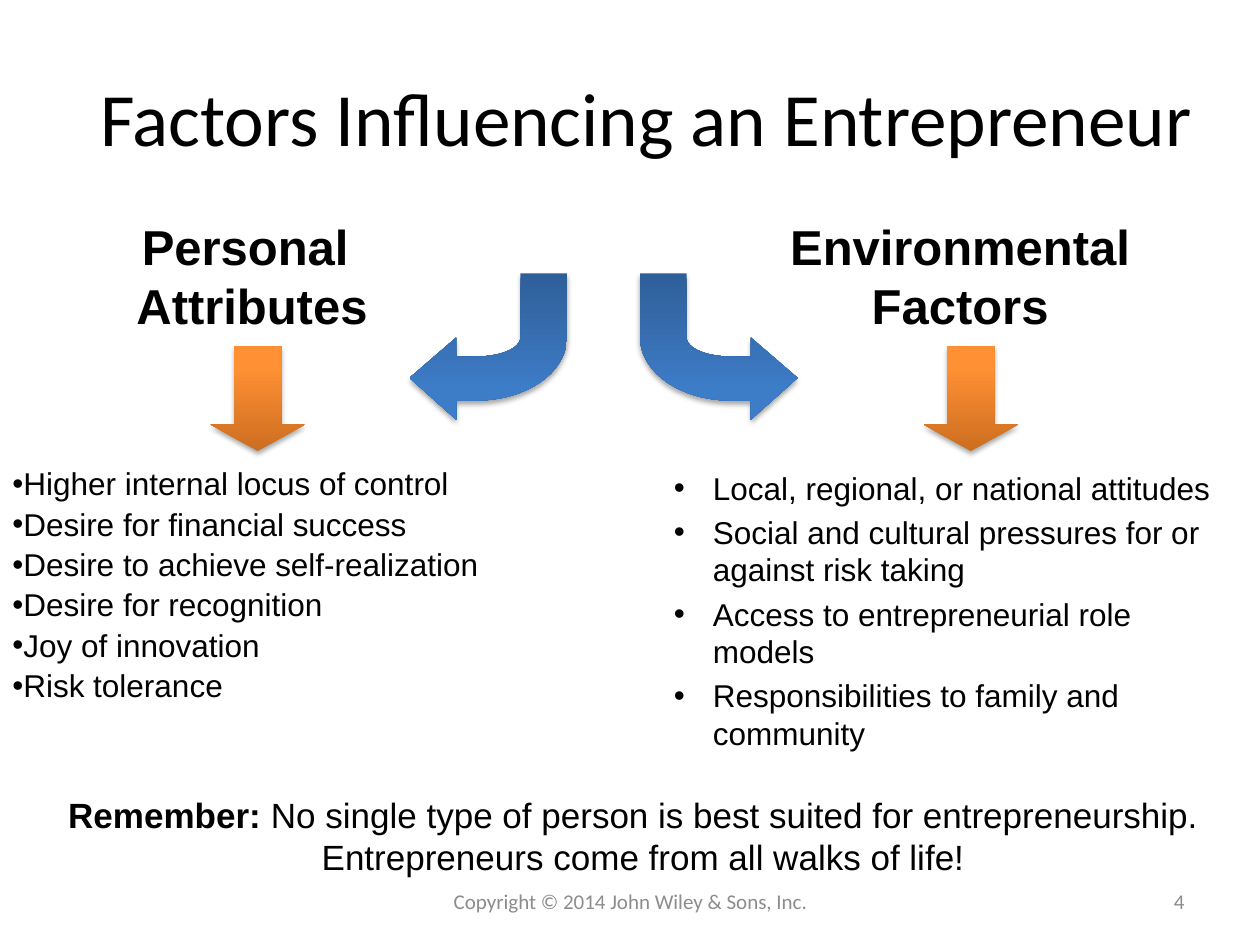
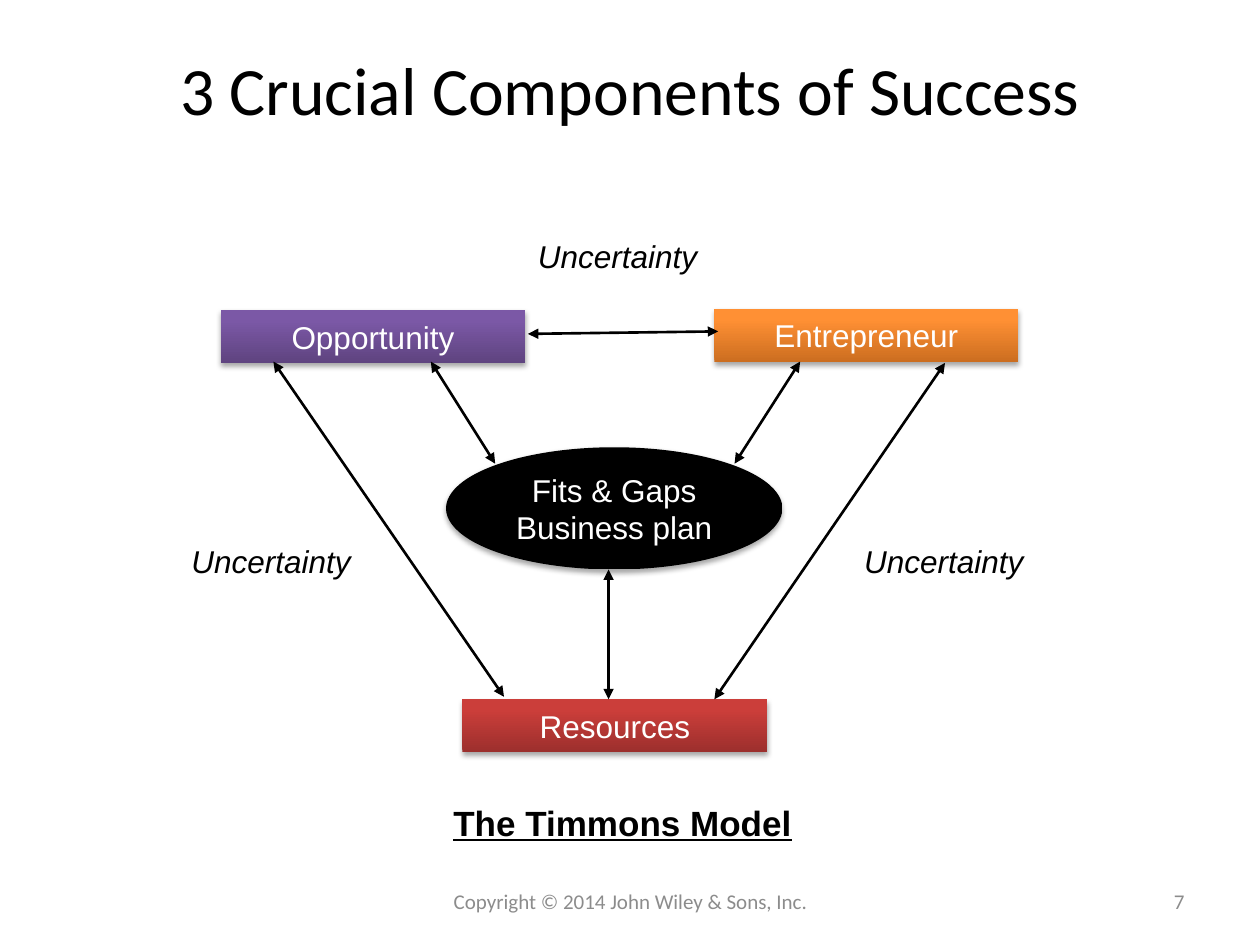
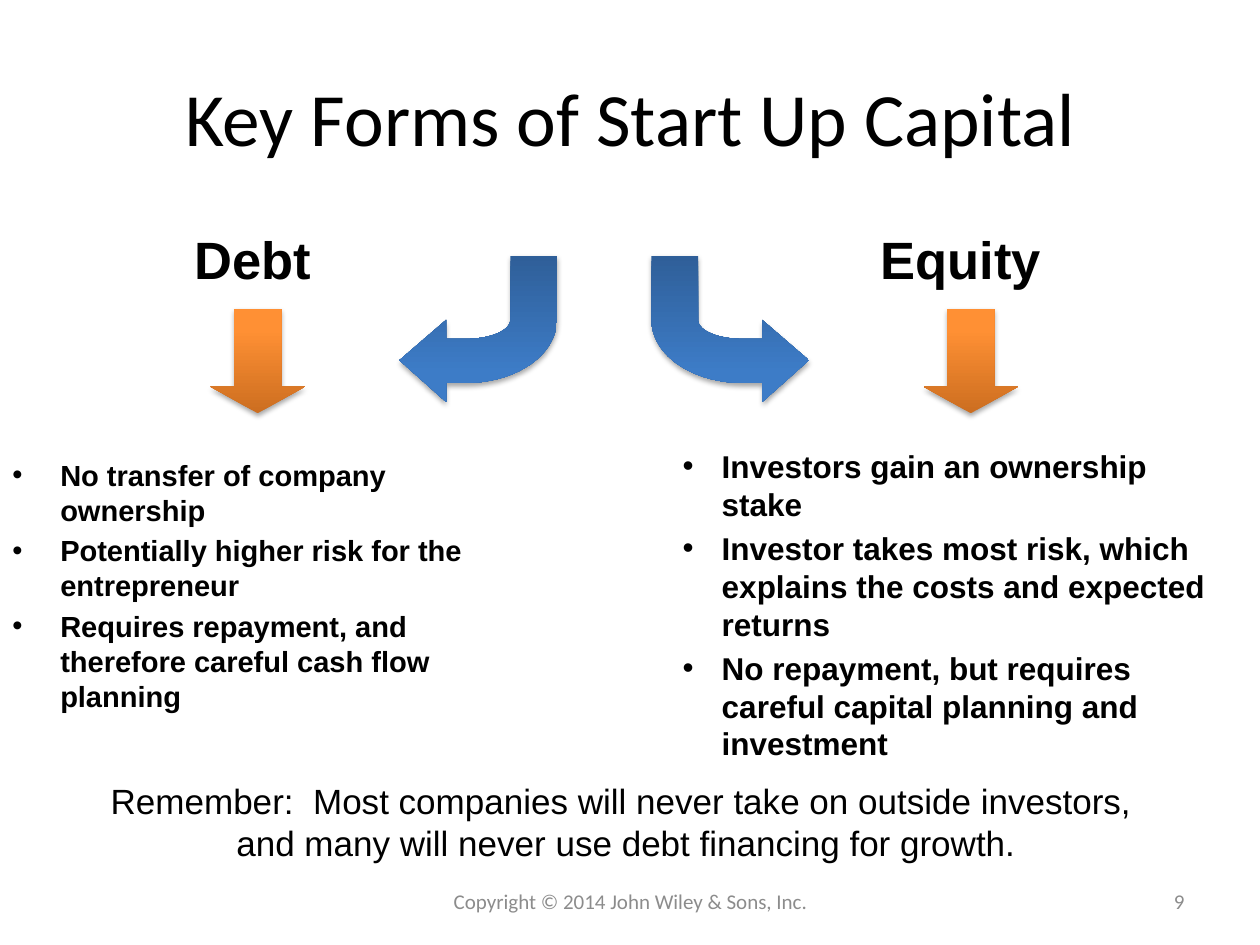
"""Build three slides on entrepreneurship: factors, the Timmons model and start-up capital."""
import math

from lxml import etree
from pptx import Presentation
from pptx import util as u
from pptx.dml.color import RGBColor
from pptx.enum import shapes, text
from pptx.oxml import ns

Inches, Pt, color = u.Inches, u.Pt, RGBColor.from_string
LEFT, CENTER, RIGHT = text.PP_ALIGN.LEFT, text.PP_ALIGN.CENTER, text.PP_ALIGN.RIGHT
TOP, MIDDLE = text.MSO_ANCHOR.TOP, text.MSO_ANCHOR.MIDDLE
BLACK, WHITE, GREY = "000000", "FFFFFF", "8C8C8C"
ORANGE, BLUE = ("CC6E20", "FF9034"), ("2F5F99", "3D7CC7")
PURPLE, RED = ("5F4480", "7B58A6"), ("9C2F2D", "CB3E3A")


def write(box, lines, size, font="Arial", ink=BLACK, align=LEFT, anchor=TOP, wrap=True,
          bold=False, italic=False, underline=False, bullet=None, spacing=None):
    """Fill a box with paragraphs; a tuple is a bold lead and its plain rest, bullet is (margin, indent)."""
    frame = box.text_frame
    frame.auto_size = text.MSO_AUTO_SIZE.NONE
    frame.word_wrap = wrap
    frame.vertical_anchor = anchor
    for index, line in enumerate(lines):
        para = frame.add_paragraph() if index else frame.paragraphs[0]
        para.alignment = align
        if bullet:
            props = para._p.get_or_add_pPr()
            props.set("marL", str(Inches(bullet[0])))
            props.set("indent", str(Inches(bullet[1])))
            etree.SubElement(props, ns.qn("a:buFont"), typeface="Arial")
            etree.SubElement(props, ns.qn("a:buChar"), char="•")
            if index:
                para.space_before = Pt(0.2 * size)
        if spacing:
            para.line_spacing = spacing
        para.font.name, para.font.size = font, Pt(size)
        para.font.color.rgb = color(ink)
        para.font.bold, para.font.italic, para.font.underline = bold, italic, underline
        parts = line if isinstance(line, tuple) else (line,)
        for part in parts:
            para.add_run().text = part
        if len(parts) > 1:
            para.runs[0].font.bold = True


def dress(shape, shades, angle=90):
    """Give a shape a gradient from dark to light, no outline and a soft shadow."""
    shape.fill.gradient()
    shape.fill.gradient_angle = angle
    for stop, shade, position in zip(shape.fill.gradient_stops, shades, (0, 0.8)):
        stop.color.rgb = color(shade)
        stop.position = position
    shape.line.fill.background()
    shape.shadow.inherit = False
    effects = shape._element.spPr.find(ns.qn("a:effectLst"))
    shadow = etree.SubElement(effects, ns.qn("a:outerShdw"), blurRad=str(Pt(3.1)),
                              dist=str(Pt(1.8)), dir="5400000", rotWithShape="0")
    tint = etree.SubElement(shadow, ns.qn("a:srgbClr"), val=BLACK)
    etree.SubElement(tint, ns.qn("a:alpha"), val="35000")


deck = Presentation()
deck.slide_width, deck.slide_height = Inches(10), Inches(7.5)

pages = []
for title, size, at, number in [
    ("Factors Influencing an Entrepreneur", 43, (0.25, 0.3, 9.75, 1.25), "4"),
    ("3 Crucial Components of Success", 38.7, (0.5, 0.08, 9, 1.25), "7"),
    ("Key Forms of Start Up Capital", 43, (0.5, 0.3, 9, 1.25), "9"),
]:
    page = deck.slides.add_slide(deck.slide_layouts[6])
    for place, words, points, ink, align in [
        (at, title, size, BLACK, CENTER),
        ((3.42, 6.95, 3.17, 0.4), "Copyright © 2014 John Wiley & Sons, Inc.", 12, GREY, CENTER),
        ((7.17, 6.95, 2.33, 0.4), number, 12, GREY, RIGHT),
    ]:
        write(page.shapes.add_textbox(*map(Inches, place)), [words], points, "Calibri", ink, align, MIDDLE)
    pages.append(page)
factors, model, capital = pages

contrasts = [
    {
        "page": factors,
        "heading_size": 28,
        "headings": [((0.98, 1.67, 2.04, 1.03), ["Personal ", "Attributes"]),
                     ((6.17, 1.67, 2.9, 1.03), ["Environmental", "Factors"])],
        "lists": [
            ((0, 3.67, 4.5, 2.5), 18, (0, -0.3), 0.9,
             ["Higher internal locus of control", "Desire for financial success",
              "Desire to achieve self-realization", "Desire for recognition",
              "Joy of innovation", "Risk tolerance"]),
            ((5.25, 3.67, 4.5, 2.5), 18, (0.31, -0.31), None,
             ["Local, regional, or national attitudes",
              "Social and cultural pressures for or against risk taking",
              "Access to entrepreneurial role models",
              "Responsibilities to family and community"]),
        ],
        "bold_lists": False,
        "down_top": 2.75,
        "bend_top": 2.17,
        "bend_lefts": (3.25, 5.08),
        "reminder": ((0.41, 6.25, 9.39, 0.77),
                     [("Remember: ", "No single type of person is best suited for entrepreneurship.  "),
                      "Entrepreneurs come from all walks of life!"]),
    },
    {
        "page": capital,
        "heading_size": 30,
        "headings": [((1.44, 1.75, 1.14, 0.61), ["Debt"]), ((6.88, 1.75, 1.49, 0.61), ["Equity"])],
        "lists": [
            ((0, 3.58, 4.25, 2.08), 16.6, (0.38, -0.38), None,
             ["No transfer of company ownership",
              "Potentially higher risk for the entrepreneur",
              "Requires repayment, and therefore careful cash flow planning"]),
            ((4.92, 3.5, 4.83, 2.17), 18, (0.71, -0.31), None,
             ["Investors gain an ownership stake",
              "Investor takes most risk, which explains the costs and expected returns",
              "No repayment, but requires careful capital planning and investment"]),
        ],
        "bold_lists": True,
        "down_top": 2.45,
        "bend_top": 2.03,
        "bend_lefts": (3.17, 5.17),
        "reminder": ((0.75, 6.14, 8.44, 0.77),
                     ["Remember:  Most companies will never take on outside investors, ",
                      "and many will never use debt financing for growth."]),
    },
]

turns = [math.radians(degrees) for degrees in range(0, 91, 5)]
outer = [(0.53 + 0.72 * math.cos(turn), 0.51 + 0.5 * math.sin(turn)) for turn in reversed(turns)]
inner = [(0.53 + 0.35 * math.cos(turn), 0.51 + 0.15 * math.sin(turn)) for turn in turns]
bend = [(0, 0.83), (0.37, 1.16), (0.37, 1.01), *outer, (1.25, 0), (0.88, 0), *inner, (0.37, 0.66), (0.37, 0.51)]

for contrast in contrasts:
    page = contrast["page"]
    for at, lines in contrast["headings"]:
        write(page.shapes.add_textbox(*map(Inches, at)), lines, contrast["heading_size"],
              align=CENTER, wrap=False, bold=True)
    for at, size, bullet, spacing, lines in contrast["lists"]:
        write(page.shapes.add_textbox(*map(Inches, at)), lines, size,
              bold=contrast["bold_lists"], bullet=bullet, spacing=spacing)
    for left, mirrored in zip(contrast["bend_lefts"], (False, True)):
        points = [(Inches(left + (1.25 - x if mirrored else x)), Inches(contrast["bend_top"] + y))
                  for x, y in bend]
        outline = page.shapes.build_freeform(*points[0])
        outline.add_line_segments(points[1:], close=True)
        dress(outline.convert_to_shape(), BLUE, 270)
    for left in (1.67, 7.33):
        arrow = page.shapes.add_shape(shapes.MSO_SHAPE.DOWN_ARROW, Inches(left),
                                      Inches(contrast["down_top"]), Inches(0.75), Inches(0.83))
        arrow.adjustments[0], arrow.adjustments[1] = 0.5, 0.28
        dress(arrow, ORANGE)
    at, lines = contrast["reminder"]
    write(page.shapes.add_textbox(*map(Inches, at)), lines, 20, align=CENTER, wrap=False)

for kind, at, shades, label in [
    (shapes.MSO_SHAPE.RECTANGLE, (1.75, 2.46, 2.42, 0.42), PURPLE, "Opportunity"),
    (shapes.MSO_SHAPE.RECTANGLE, (3.67, 5.55, 2.42, 0.42), RED, "Resources"),
    (shapes.MSO_SHAPE.RECTANGLE, (5.67, 2.45, 2.41, 0.42), ORANGE, "Entrepreneur"),
    (shapes.MSO_SHAPE.OVAL, (3.54, 3.55, 2.67, 0.97), (BLACK, BLACK), "Fits & Gaps Business plan"),
]:
    component = model.shapes.add_shape(kind, *map(Inches, at))
    dress(component, shades)
    write(component, [label], 18, ink=WHITE, align=CENTER, anchor=MIDDLE)

for ends in [
    (4.83, 5.55, 4.83, 4.52),
    (7.5, 2.88, 5.67, 5.55),
    (4.19, 2.65, 5.7, 2.63),
    (5.83, 3.68, 6.35, 2.87),
    (3.93, 3.68, 3.42, 2.87),
    (4, 5.53, 2.17, 2.87),
]:
    link = model.shapes.add_connector(shapes.MSO_CONNECTOR.STRAIGHT, *map(Inches, ends))
    link.line.color.rgb = color(BLACK)
    link.line.width = Pt(1.5)
    props = link._element.spPr
    for end in ("a:headEnd", "a:tailEnd"):
        etree.SubElement(props.find(ns.qn("a:ln")), ns.qn(end), type="triangle")
    etree.SubElement(props, ns.qn("a:effectLst"))

for left, top in [(6.76, 4.25), (4.17, 1.83), (1.42, 4.25)]:
    label = model.shapes.add_textbox(Inches(left), Inches(top), Inches(1.51), Inches(0.4))
    write(label, ["Uncertainty"], 18, italic=True)
caption = model.shapes.add_textbox(Inches(3.5), Inches(6.31), Inches(3.17), Inches(0.44))
write(caption, ["The Timmons Model"], 20, bold=True, underline=True)

deck.save("out.pptx")
